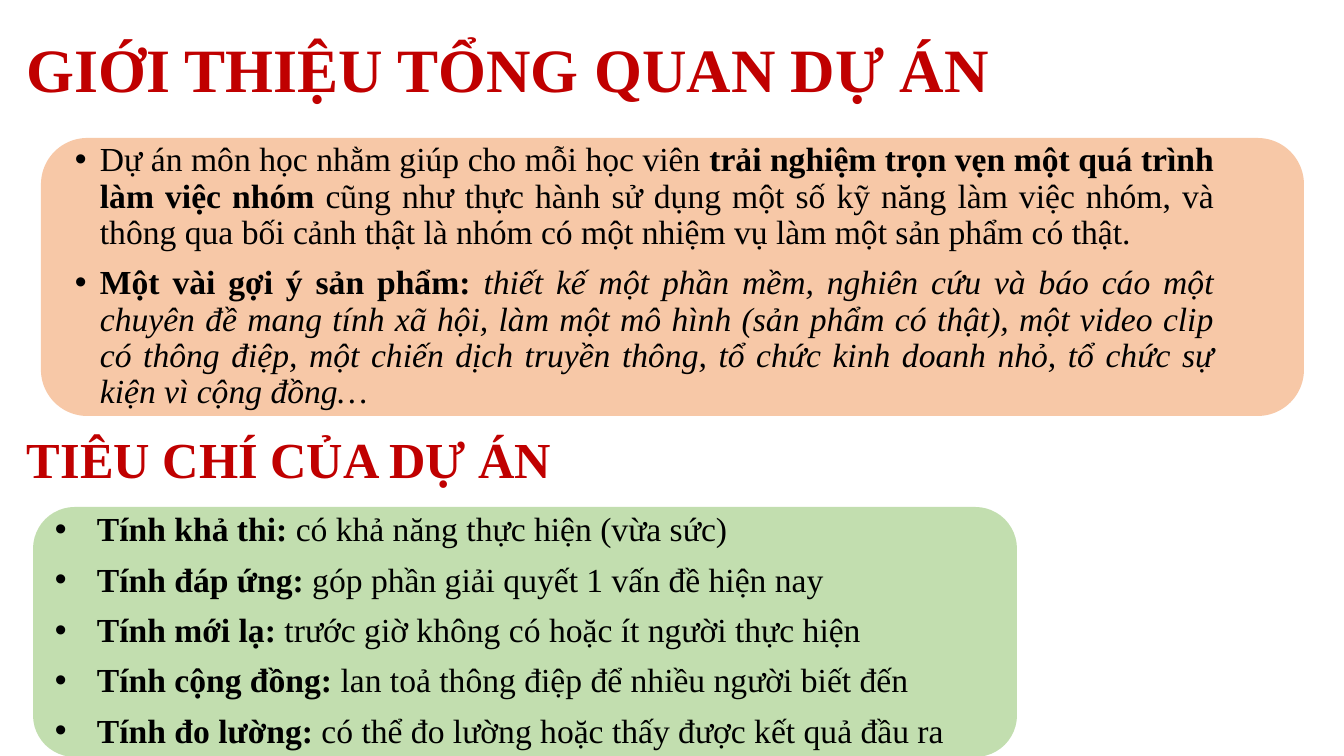
from lxml import etree
from pptx import Presentation, util as u
from pptx.dml.color import RGBColor
from pptx.enum import shapes, text
from pptx.oxml.ns import qn

EMU_PER_PIXEL = 914400 / 100.8
COLORS = {"heading": "C00000", "body": "000000", "overview": "F4B183", "criteria": "A9D18E"}
FONT = "Times New Roman"


def px(length):
    """Turn pixels into EMU."""
    return u.Emu(round(length * EMU_PER_PIXEL))


def apply(target, values):
    """Set each named attribute on the target."""
    for name, value in values.items():
        setattr(target, name, value)


class SlideBuilder:
    """Holds the text style and the current slide."""

    def __init__(self, slide):
        """Keep the slide to draw on."""
        self.slide = slide

    def panel(self, box, color):
        """Add a rounded panel with a 70% opaque fill."""
        shape = self.slide.shapes.add_shape(
            shapes.MSO_SHAPE.ROUNDED_RECTANGLE, *map(px, box))
        shape.shadow.inherit = False
        shape.line.fill.background()
        shape.fill.solid()
        shape.fill.fore_color.rgb = RGBColor.from_string(COLORS[color])
        fill_color = shape.fill._xPr.find(".//" + qn("a:srgbClr"))
        etree.SubElement(fill_color, qn("a:alpha"), val="70000")

    def text_frame(self, box, anchor):
        """Add a wrapping text box and return its frame."""
        frame = self.slide.shapes.add_textbox(*map(px, box)).text_frame
        apply(frame, {"word_wrap": True, "vertical_anchor": anchor})
        return frame

    def run(self, paragraph, words, size, color, **style):
        """Add one styled run to a paragraph."""
        run = paragraph.add_run()
        run.text = words
        apply(run.font, {"name": FONT, "size": u.Pt(size), **style})
        run.font.color.rgb = RGBColor.from_string(COLORS[color])

    def heading(self, box, words, size):
        """Add a bold red heading, centred vertically."""
        paragraph = self.text_frame(box, text.MSO_ANCHOR.MIDDLE).paragraphs[0]
        paragraph.line_spacing = 0.9
        self.run(paragraph, words, size, "heading", bold=True)

    def bullets(self, box, items, indent, alignment):
        """Add a bulleted list; each item is a list of (words, style) runs."""
        frame = self.text_frame(box, text.MSO_ANCHOR.TOP)
        for index, item in enumerate(items):
            paragraph = frame.add_paragraph() if index else frame.paragraphs[0]
            apply(paragraph, {"alignment": alignment, "line_spacing": 0.9,
                              "space_before": u.Pt(10)})
            properties = paragraph._p.get_or_add_pPr()
            properties.set("marL", str(px(indent)))
            properties.set("indent", str(-px(indent)))
            etree.SubElement(properties, qn("a:buFont"), typeface="Arial")
            etree.SubElement(properties, qn("a:buChar"), char="•")
            for words, style in item:
                self.run(paragraph, words, 24, "body", **style)


BOLD, ITALIC, PLAIN = {"bold": True}, {"italic": True}, {}

OVERVIEW = [
    [("Dự án môn học nhằm giúp cho mỗi học viên ", PLAIN),
     ("trải nghiệm trọn vẹn một quá trình làm việc nhóm ", BOLD),
     ("cũng như thực hành sử dụng một số kỹ năng làm việc nhóm, và thông qua "
      "bối cảnh thật là nhóm có một nhiệm vụ làm một sản phẩm có thật.", PLAIN)],
    [("Một vài gợi ý sản phẩm: ", BOLD),
     ("thiết kế một phần mềm, nghiên cứu và báo cáo một chuyên đề mang tính xã hội, "
      "làm một mô hình (sản phẩm có thật), một video clip có thông điệp, "
      "một chiến dịch truyền thông, tổ chức kinh doanh nhỏ, "
      "tổ chức sự kiện vì cộng đồng…", ITALIC)],
]
CRITERIA = {
    "Tính khả thi: ": "có khả năng thực hiện (vừa sức)",
    "Tính đáp ứng: ": "góp phần giải quyết 1 vấn đề hiện nay",
    "Tính mới lạ: ": "trước giờ không có hoặc ít người thực hiện",
    "Tính cộng đồng: ": "lan toả thông điệp để nhiều người biết đến",
    "Tính đo lường: ": "có thể đo lường hoặc thấy được kết quả đầu ra",
}

presentation = Presentation()
apply(presentation, {"slide_width": px(1344), "slide_height": px(756)})
builder = SlideBuilder(presentation.slides.add_slide(presentation.slide_layouts[6]))

builder.panel((41, 138, 1263, 278), "overview")
builder.heading((17, 0, 1159, 146), "GIỚI THIỆU TỔNG QUAN DỰ ÁN", 44)
builder.bullets((65, 138, 1159, 589), OVERVIEW, 25, text.PP_ALIGN.JUSTIFY)

builder.panel((33, 507, 984, 250), "criteria")
builder.heading((17, 389, 1159, 146), "TIÊU CHÍ CỦA DỰ ÁN", 36)
builder.bullets((45, 508, 1179, 249),
                [[(name, BOLD), (meaning, PLAIN)] for name, meaning in CRITERIA.items()],
                42, text.PP_ALIGN.LEFT)

presentation.save("out.pptx")
